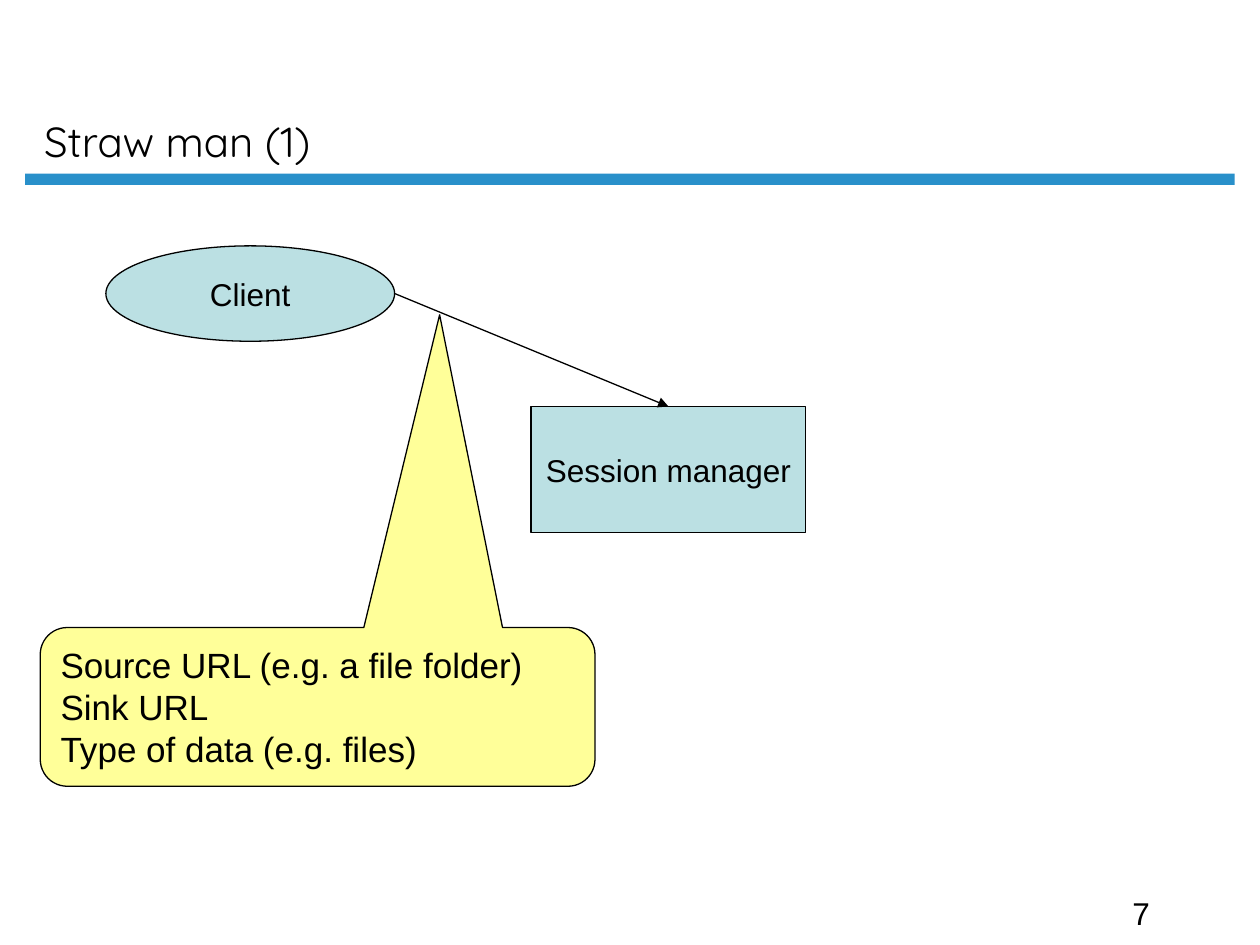
from lxml.etree import SubElement
from pptx import Presentation
from pptx.dml.color import RGBColor
from pptx.enum.shapes import MSO_CONNECTOR as Connector, MSO_SHAPE as Shape
from pptx.enum.text import MSO_ANCHOR as Anchor, PP_ALIGN as Align
from pptx.oxml.ns import qn
from pptx.util import Pt

COLORS = {
    "black": "000000",
    "rule": "2990CA",
    "node": "BBE0E3",
    "note": "FFFF99",
}


def color(name):
    return RGBColor.from_string(COLORS[name])


def write(box, lines, size, font="Arial", align=Align.LEFT, anchor=Anchor.TOP, wrap=True):
    frame = box.text_frame
    frame.text = "\n".join(lines)
    frame.word_wrap = wrap
    frame.vertical_anchor = anchor
    for para in frame.paragraphs:
        para.alignment = align
        para.font.name = font
        para.font.size = Pt(size)
        para.font.color.rgb = color("black")


def add_title(page, text, bounds):
    title = page.shapes.title
    title.left, title.top, title.width, title.height = map(Pt, bounds)
    write(title, [text], 24, font="Quicksand", anchor=Anchor.BOTTOM)


def add_filled(page, kind, bounds, fill, outlined=True):
    shape = page.shapes.add_shape(kind, *map(Pt, bounds))
    shape.shadow.inherit = False
    shape.fill.solid()
    shape.fill.fore_color.rgb = color(fill)
    if outlined:
        shape.line.color.rgb = color("black")
        shape.line.width = Pt(0.75)
    else:
        shape.line.fill.background()
    return shape


def add_node(page, kind, bounds, label):
    node = add_filled(page, kind, bounds, "node")
    write(node, [label], 18, align=Align.CENTER, anchor=Anchor.MIDDLE, wrap=False)
    return node


def add_callout(page, bounds, adjustments, lines):
    callout = add_filled(page, Shape.ROUNDED_RECTANGULAR_CALLOUT, bounds, "note")
    for index, value in enumerate(adjustments):
        callout.adjustments[index] = value
    write(callout, lines, 20, anchor=Anchor.MIDDLE)


def add_arrow(page, source, target):
    arrow = page.shapes.add_connector(
        Connector.STRAIGHT,
        source.left + source.width,
        source.top + source.height // 2,
        target.left + target.width // 2,
        target.top,
    )
    arrow.line.color.rgb = color("black")
    arrow.line.width = Pt(0.75)
    properties = arrow.line._get_or_add_ln()
    SubElement(properties, qn("a:tailEnd"), type="triangle")
    SubElement(arrow._element.spPr, qn("a:effectLst"))


def add_page_number(page, number, bounds):
    box = page.shapes.add_textbox(*map(Pt, bounds))
    write(box, [number], 18)


def main():
    deck = Presentation()
    deck.slide_width, deck.slide_height = Pt(720), Pt(540)
    page = deck.slides.add_slide(deck.slide_layouts[5])

    add_filled(page, Shape.RECTANGLE, (14.4, 99.2, 691.2, 6.5), "rule", outlined=False)
    add_page_number(page, "7", (640, 507.6, 96.5, 28.8))
    add_title(page, "Straw man (1)", (18, 8.6, 616, 90))

    manager = add_node(page, Shape.RECTANGLE, (303.5, 232.3, 157, 72), "Session manager")
    client = add_node(page, Shape.OVAL, (60.5, 140.5, 165, 54.5), "Client")
    add_arrow(page, client, manager)
    add_callout(
        page,
        (23, 358.6, 317, 90.7),
        (0.22, -2.47, 0.17),
        ["Source URL (e.g. a file folder)", "Sink URL", "Type of data (e.g. files)"],
    )

    deck.save("out.pptx")


if __name__ == "__main__":
    main()
